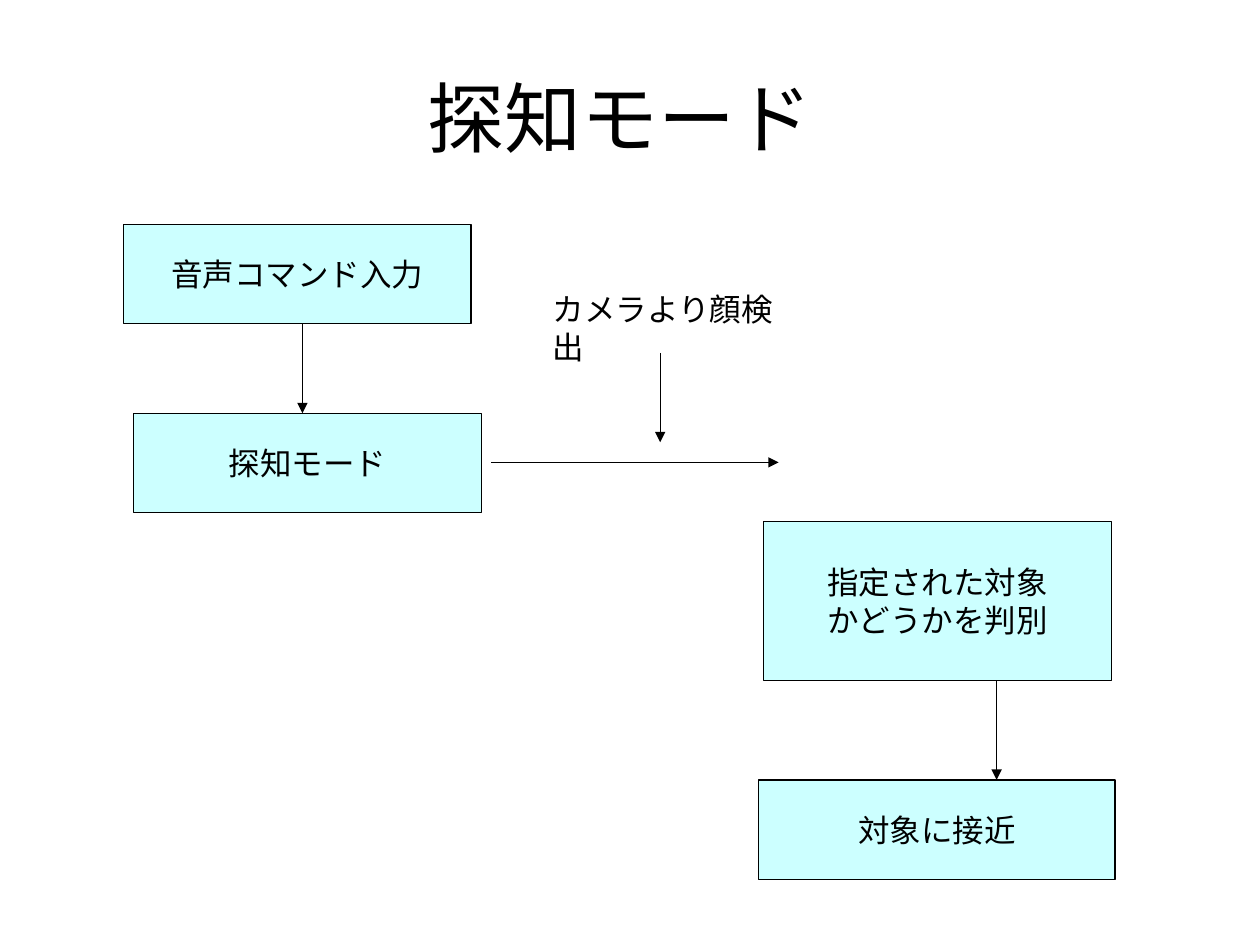
import pptx
import pptx.util
import pptx.dml.color
import pptx.enum.shapes
import pptx.enum.text
import pptx.oxml.ns
from lxml import etree

Inches, Pt = pptx.util.Inches, pptx.util.Pt
RGBColor = pptx.dml.color.RGBColor
ALIGN = pptx.enum.text.PP_ALIGN
ANCHOR = pptx.enum.text.MSO_ANCHOR
qn = pptx.oxml.ns.qn

BLACK = RGBColor(0x00, 0x00, 0x00)
PALE_CYAN = RGBColor(0xCC, 0xFF, 0xFF)
TITLE_FONT = "Noto Sans CJK JP"
BODY_FONT = "Karla"
LINE_WIDTH = Pt(0.75)

STEPS = [
    ((0.98, 1.78, 2.76, 0.79), ["音声コマンド入力"]),
    ((1.06, 3.28, 2.76, 0.79), ["探知モード"]),
    ((6.06, 4.14, 2.76, 1.26), ["指定された対象", "かどうかを判別"]),
    ((6.02, 6.19, 2.83, 0.79), ["対象に接近"]),
]
ARROWS = [
    (2.4, 2.57, 2.4, 3.28),
    (5.24, 2.8, 5.24, 3.51),
    (3.9, 3.67, 6.18, 3.67),
    (7.91, 5.4, 7.91, 6.19),
]


def write_lines(tf, lines, align, font_name, size):
    for i, line in enumerate(lines):
        p = tf.add_paragraph() if i else tf.paragraphs[0]
        p.alignment = align
        r = p.add_run()
        r.text = line
        for name, value in {"name": font_name, "size": Pt(size)}.items():
            setattr(r.font, name, value)
        r.font.color.rgb = BLACK
        # Japanese text takes its typeface from a:ea
        etree.SubElement(r.font._element, qn("a:ea"), typeface=font_name)


def add_label(slide, box, text, align, anchor, font_name, size):
    sp = slide.shapes.add_textbox(*map(Inches, box))
    tf = sp.text_frame
    for name, value in {"word_wrap": True, "vertical_anchor": anchor}.items():
        setattr(tf, name, value)
    write_lines(tf, [text], align, font_name, size)


def add_step(slide, box, lines):
    sp = slide.shapes.add_shape(
        pptx.enum.shapes.MSO_SHAPE.RECTANGLE, *map(Inches, box))
    sp.shadow.inherit = False
    sp.fill.solid()
    sp.fill.fore_color.rgb = PALE_CYAN
    sp.line.color.rgb = BLACK
    sp.line.width = LINE_WIDTH
    tf = sp.text_frame
    for name, value in {"word_wrap": False, "vertical_anchor": ANCHOR.MIDDLE}.items():
        setattr(tf, name, value)
    write_lines(tf, lines, ALIGN.CENTER, BODY_FONT, 18)


def add_arrow(slide, ends):
    line = slide.shapes.add_connector(
        pptx.enum.shapes.MSO_CONNECTOR.STRAIGHT, *map(Inches, ends))
    line.line.color.rgb = BLACK
    line.line.width = LINE_WIDTH
    etree.SubElement(line.line._get_or_add_ln(), qn("a:tailEnd"), type="triangle")
    etree.SubElement(line._element.spPr, qn("a:effectLst"))


def main():
    prs = pptx.Presentation()
    prs.slide_width, prs.slide_height = Inches(10), Inches(7.5)
    slide = prs.slides.add_slide(prs.slide_layouts[6])
    add_label(slide, (0.35, 0.3, 9.15, 1.25), "探知モード",
              ALIGN.CENTER, ANCHOR.MIDDLE, TITLE_FONT, 44)
    for box, lines in STEPS:
        add_step(slide, box, lines)
    for ends in ARROWS:
        add_arrow(slide, ends)
    add_label(slide, (4.29, 2.25, 2.05, 0.71), "カメラより顔検出",
              ALIGN.LEFT, ANCHOR.TOP, BODY_FONT, 18)
    prs.save("out.pptx")


if __name__ == "__main__":
    main()
